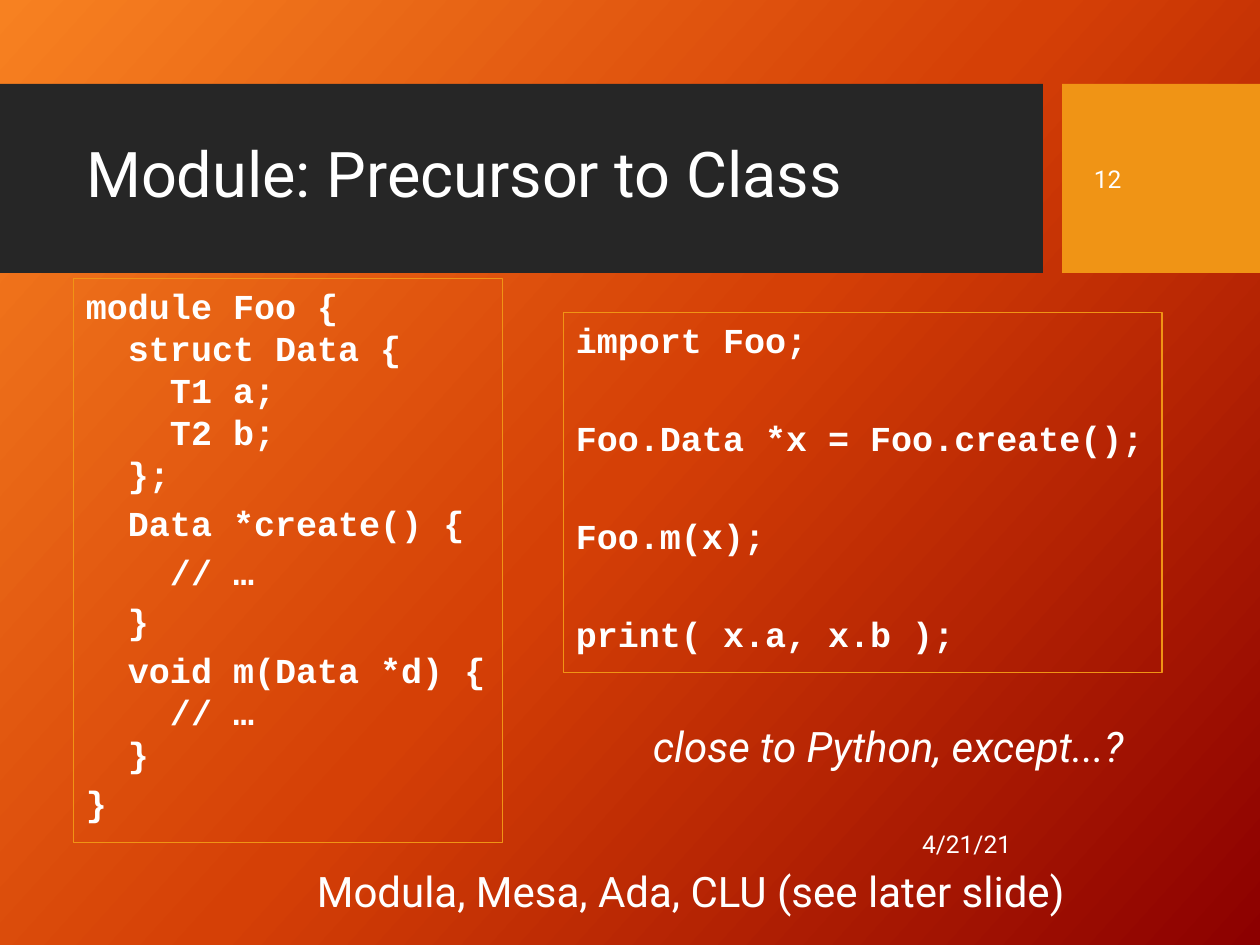
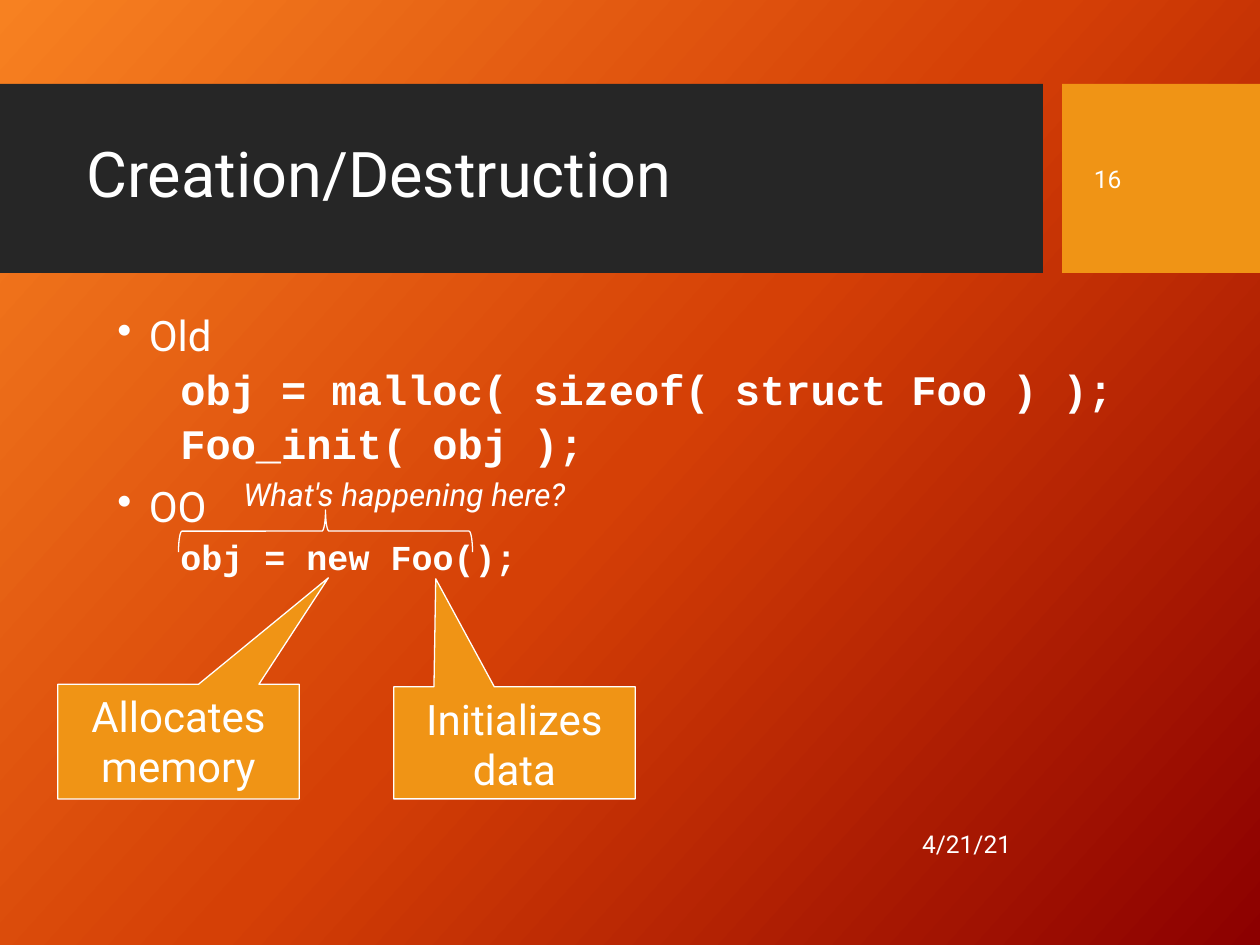
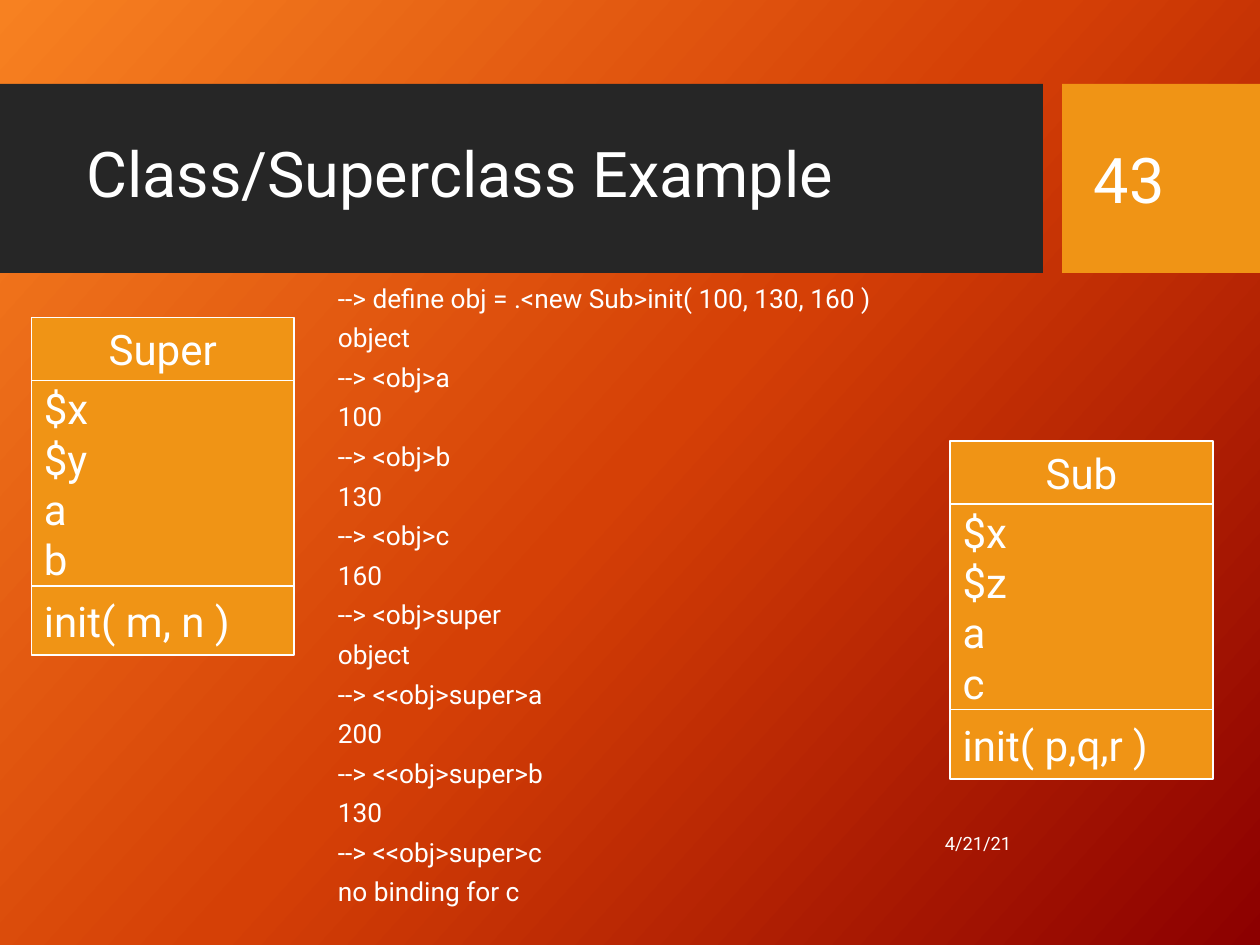
from copy import deepcopy
from dataclasses import dataclass

from pptx import Presentation
from pptx.dml.color import RGBColor
from pptx.enum.shapes import MSO_SHAPE
from pptx.enum.text import MSO_ANCHOR, MSO_AUTO_SIZE, PP_ALIGN
from pptx.oxml.ns import qn
from pptx.util import Pt

RECTANGLE = MSO_SHAPE.RECTANGLE
CALLOUT = MSO_SHAPE.RECTANGULAR_CALLOUT
BRACE = MSO_SHAPE.LEFT_BRACE
TOP, MIDDLE = MSO_ANCHOR.TOP, MSO_ANCHOR.MIDDLE
LEFT, CENTER, RIGHT = PP_ALIGN.LEFT, PP_ALIGN.CENTER, PP_ALIGN.RIGHT


@dataclass(frozen=True)
class Theme:
    white: RGBColor = RGBColor.from_string("FFFFFF")
    dark: RGBColor = RGBColor.from_string("262626")
    amber: RGBColor = RGBColor.from_string("F09415")
    gradient: tuple = ((0, "F78121"), (0.5, "D54006"), (1, "8C0000"))
    gradient_angle: int = 318
    sans: str = "Roboto"
    mono: str = "Courier New"
    title: float = 36
    body: float = 24
    code: float = 20
    note: float = 18
    transcript: float = 15
    footer: float = 14
    small_footer: float = 10.5


theme = Theme()


def add_box(slide, kind, box, fill=None, line=None, line_width=0.75):
    shape = slide.shapes.add_shape(kind, *map(Pt, box))
    shape.shadow.inherit = False
    if fill is None:
        shape.fill.background()
    else:
        shape.fill.solid()
        shape.fill.fore_color.rgb = fill
    if line is None:
        shape.line.fill.background()
    else:
        shape.line.color.rgb = line
        shape.line.width = Pt(line_width)
    return shape


def write(shape, lines, size, font=theme.sans, align=LEFT, anchor=TOP,
          bold=False, italic=False, spacing=1.0, before=0):
    frame = shape.text_frame
    frame.word_wrap = True
    frame.auto_size = MSO_AUTO_SIZE.NONE
    frame.vertical_anchor = anchor
    for index, line in enumerate(lines):
        paragraph = frame.add_paragraph() if index else frame.paragraphs[0]
        paragraph.text = line
        paragraph.alignment = align
        paragraph.line_spacing = spacing
        paragraph.space_before = Pt(before if index else 0)
        paragraph.font.name = font
        paragraph.font.size = Pt(size)
        paragraph.font.bold = bold
        paragraph.font.italic = italic
        paragraph.font.color.rgb = theme.white
    return frame.paragraphs


presentation = Presentation()
presentation.slide_width, presentation.slide_height = Pt(720), Pt(540)

background = presentation.slide_master.background.fill
background.gradient()
background.gradient_angle = theme.gradient_angle
stop_list = presentation.slide_master.element.find(".//" + qn("a:gsLst"))
stop_list.insert(1, deepcopy(stop_list[0]))
for stop, (position, color) in zip(background.gradient_stops, theme.gradient):
    stop.position = position
    stop.color.rgb = RGBColor.from_string(color)

slides = []
for title_text, number, number_size, date_size in (
    ("Module: Precursor to Class", "12", theme.footer, theme.footer),
    ("Creation/Destruction", "16", theme.footer, theme.footer),
    ("Class/Superclass Example", "43", theme.title, theme.small_footer),
):
    slide = presentation.slides.add_slide(presentation.slide_layouts[5])
    slides.append(slide)
    title = slide.shapes.title
    title.left, title.top, title.width, title.height = map(Pt, (42, 59, 543, 85))
    write(title, [title_text], theme.title, anchor=MIDDLE, spacing=0.9)
    for left, width, color in ((0, 596, theme.dark), (607, 113, theme.amber)):
        band = add_box(slide, RECTANGLE, (left, 48, width, 108), color)
        title._element.addprevious(band._element)
    date_box = slide.shapes.add_textbox(Pt(423), Pt(467.5), Pt(162), Pt(29))
    write(date_box, ["4/21/21"], date_size, align=RIGHT, anchor=MIDDLE)
    number_box = slide.shapes.add_textbox(Pt(618), Pt(59), Pt(91), Pt(86))
    write(number_box, [number], number_size, anchor=MIDDLE)

module_slide, creation_slide, class_slide = slides

module_code = [
    "module Foo {\n  struct Data {\n    T1 a;\n    T2 b;\n  };",
    "  Data *create() {",
    "    // …",
    "  }",
    "  void m(Data *d) {\n    // …\n  }",
    "}",
]
client_code = ["import Foo;", "Foo.Data *x = Foo.create();", "Foo.m(x);", "print( x.a, x.b );"]
for box, lines, before in (
    ((42, 159, 245, 322.5), module_code, 4),
    ((322, 178.5, 342, 206), client_code, 32),
):
    code_box = add_box(module_slide, RECTANGLE, box, line=theme.amber)
    write(code_box, lines, theme.code, theme.mono, bold=True, before=before)

for slide, box, text, size, italic in (
    (module_slide, (366, 408, 297, 36), "close to Python, except...?", theme.body, True),
    (module_slide, (174, 491, 448, 36), "Modula, Mesa, Ada, CLU (see later slide)", theme.body, False),
    (creation_slide, (132, 268, 210, 29), "What's happening here?", theme.note, True),
):
    remark = slide.shapes.add_textbox(*map(Pt, box))
    write(remark, [text], size, italic=italic)

creation_steps = [
    "Old",
    "obj = malloc( sizeof( struct Foo ) );",
    "Foo_init( obj );",
    "OO",
    "obj = new Foo();",
]
steps_box = creation_slide.shapes.add_textbox(Pt(60), Pt(176.5), Pt(612), Pt(216))
paragraphs = write(steps_box, creation_steps, theme.body, spacing=0.9, before=10)
for paragraph in paragraphs:
    properties = paragraph._p.get_or_add_pPr()
    properties.set("indent", str(Pt(-18)))
    if paragraph.text in ("Old", "OO"):
        properties.set("marL", str(Pt(18)))
        bullet = properties.makeelement(qn("a:buChar"), {"char": "•"})
        properties.find(qn("a:defRPr")).addprevious(bullet)
    else:
        paragraph.level = 1
        properties.set("marL", str(Pt(54)))
        paragraph.space_before = Pt(5)
        paragraph.font.name = theme.mono
        paragraph.font.bold = True
paragraphs[-1].font.size = Pt(theme.code)

for box, pointer, lines in (
    ((33, 391, 138, 65.5), (0.621, -1.429), ["Allocates memory"]),
    ((225, 392.5, 138, 64), (-0.326, -1.465), ["Initializes", "data"]),
):
    callout = add_box(creation_slide, CALLOUT, box, theme.amber, theme.white)
    callout.adjustments[0], callout.adjustments[1] = pointer
    write(callout, lines, theme.body, align=CENTER)

brace = add_box(creation_slide, BRACE, (174, 219.5, 24, 168), line=theme.white)
brace.rotation = 90

transcript = [
    "--> define obj = .<new Sub>init( 100, 130, 160 )", "object",
    "--> <obj>a", "100",
    "--> <obj>b", "130",
    "--> <obj>c", "160",
    "--> <obj>super", "object",
    "--> <<obj>super>a", "200",
    "--> <<obj>super>b", "130",
    "--> <<obj>super>c", "no binding for c",
]
transcript_box = class_slide.shapes.add_textbox(Pt(186), Pt(162.5), Pt(354), Pt(377))
write(transcript_box, transcript, theme.transcript, spacing=0.7, before=10)

for left, top, name, fields, method in (
    (18, 181.5, "Super", ["$x", "$y", "a", "b"], "init( m, n )"),
    (543, 252, "Sub", ["$x", "$z", "a", "c"], "init( p,q,r )"),
):
    for height, lines, align in (
        (36, [name], CENTER), (117.5, fields, LEFT), (39.5, [method], LEFT),
    ):
        section = add_box(class_slide, RECTANGLE, (left, top, 150, height),
                          theme.amber, theme.white, 1)
        write(section, lines, theme.body, align=align, anchor=MIDDLE)
        top += height

presentation.save("out.pptx")
